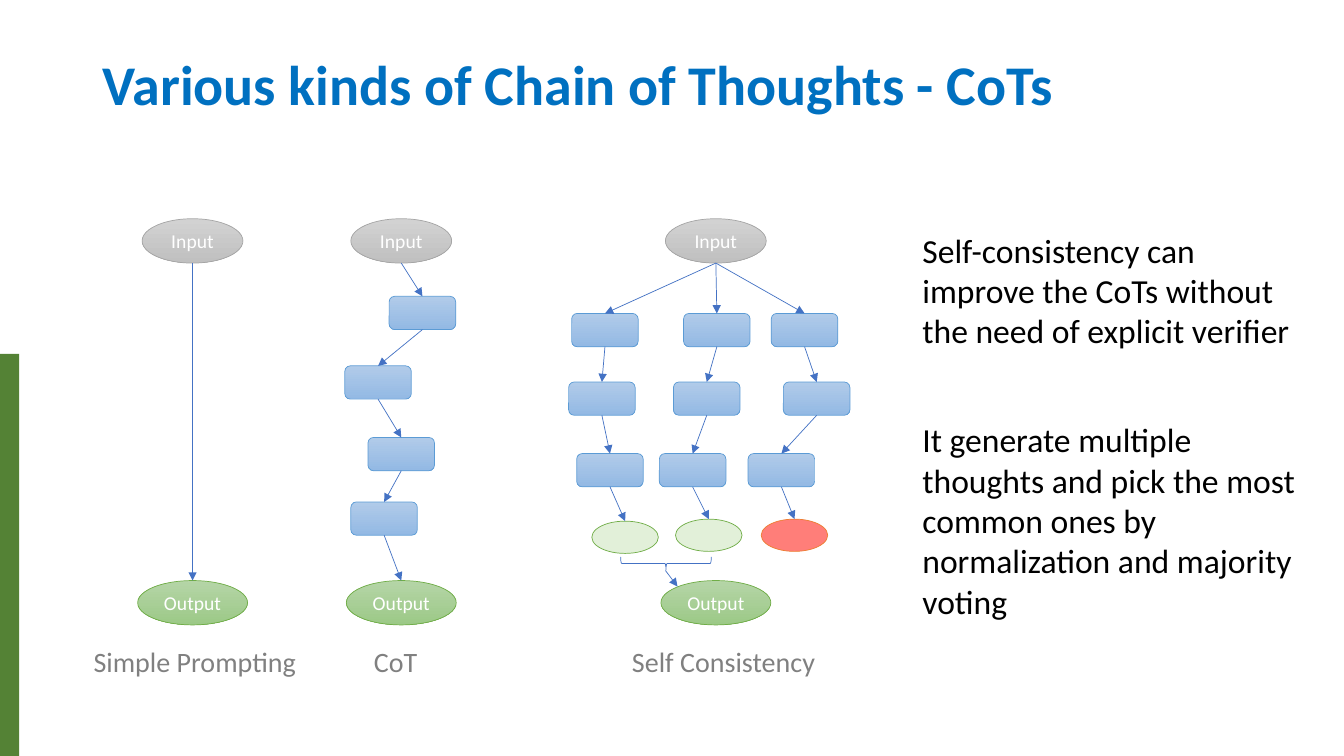
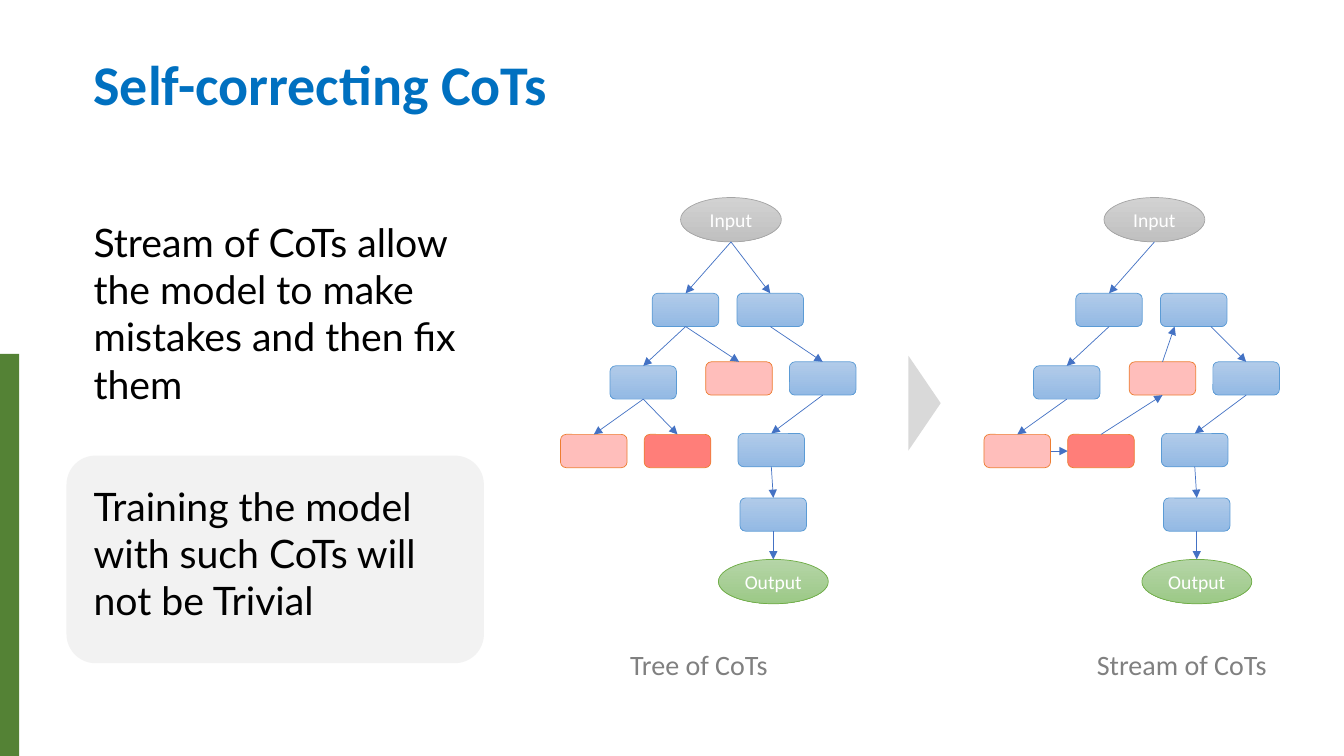
import pptx
import pptx.util
import pptx.dml.color
import pptx.enum.shapes
import pptx.enum.text
import pptx.oxml
import pptx.oxml.ns
import lxml.etree

Inches = pptx.util.Inches
Pt = pptx.util.Pt
MSO = pptx.enum.shapes.MSO_SHAPE
ALIGN = pptx.enum.text.PP_ALIGN
ANCHOR = pptx.enum.text.MSO_ANCHOR

FONT = "Calibri"
GREEN, BLUE, GRAY, BLACK, WHITE = "548235", "0070C0", "808080", "000000", "FFFFFF"
WIRE, CARD, MARK = "4472C4", "F2F2F2", "D9D9D9"
BOTTOM, TOP, LEFT, RIGHT = 2, 0, 1, 3

KINDS = {
    "input": (MSO.OVAL, 1, 0.44, ("D2D2D2", "C0C0C0"), "A5A5A5", "Input"),
    "output": (MSO.OVAL, 1.09, 0.44, ("B5D5A7", "9CC987"), "70AD47", "Output"),
    "step": (MSO.ROUNDED_RECTANGLE, 0.66, 0.33, ("B1CBE9", "93B9E4"), "5B9BD5", ""),
    "weak": (MSO.ROUNDED_RECTANGLE, 0.66, 0.33, ("FF7E79", 50), "ED7D31", ""),
    "wrong": (MSO.ROUNDED_RECTANGLE, 0.66, 0.33, "FF7E79", "ED7D31", ""),
    "vote": (MSO.OVAL, 0.66, 0.32, "E2F0D9", "70AD47", ""),
    "reject": (MSO.OVAL, 0.66, 0.32, "FF7E79", "ED7D31", ""),
}

KINDS_NODES = {
    "in1": ("input", 1.91, 2.17), "out1": ("output", 1.91, 5.76),
    "in2": ("input", 3.98, 2.17), "out2": ("output", 3.98, 5.76),
    "s1": ("step", 4.19, 2.94), "s2": ("step", 3.75, 3.63),
    "s3": ("step", 3.98, 4.34), "s4": ("step", 3.81, 4.98),
    "in3": ("input", 7.1, 2.17), "out3": ("output", 7.1, 5.76),
    "a1": ("step", 6, 3.11), "a2": ("step", 5.97, 3.79),
    "a3": ("step", 6.05, 4.5), "a4": ("vote", 6.2, 5.17),
    "b1": ("step", 7.11, 3.11), "b2": ("step", 7.01, 3.79),
    "b3": ("step", 6.87, 4.5), "b4": ("vote", 7.03, 5.15),
    "c1": ("step", 7.98, 3.11), "c2": ("step", 8.1, 3.79),
    "c3": ("step", 7.75, 4.5), "c4": ("reject", 7.88, 5.15),
}
KINDS_PATHS = ["in1 out1", "in2 s1 s2 s3 s4 out2",
               "in3 a1 a2 a3 a4", "in3 b1 b2 b3 b4", "in3 c1 c2 c3 c4"]
KINDS_LABELS = [("Simple Prompting", 0.83, 6.34, 2.23), ("CoT", 3.61, 6.34, 0.63),
                ("Self Consistency", 6.17, 6.34, 2.04)]
KINDS_TEXT = [
    "Self-consistency can improve the CoTs without the need of explicit verifier",
    "It generate multiple thoughts and pick the most common ones by "
    "normalization and majority voting",
]

TREE_NODES = {
    "in": ("input", 7.25, 1.96), "out": ("output", 7.67, 5.55),
    "l1": ("step", 6.8, 2.91), "l2": ("step", 6.38, 3.63),
    "w1": ("weak", 5.89, 4.31), "w2": ("weak", 7.33, 3.59),
    "bad": ("wrong", 6.72, 4.31),
    "r1": ("step", 7.64, 2.91), "r2": ("step", 8.16, 3.59),
    "r3": ("step", 7.65, 4.3), "r4": ("step", 7.67, 4.94),
}
TREE_PATHS = ["in l1 l2 w1", "l2 bad", "l1 w2", "in r1 r2 r3 r4 out"]
STREAM_PATHS = ["in l1 l2 w1", "r2 r3 r4 out"]
STREAM_LINKS = [
    ("w1", "bad", RIGHT, LEFT, 0, 0),
    ("bad", "w2", TOP, BOTTOM, 0, 0),
    ("w2", "r1", TOP, BOTTOM, 0, -0.19),
    ("r1", "r2", BOTTOM, TOP, 0.17, 0),
]
STREAM_SHIFT = 4.2
TREE_LABELS = [("Tree of CoTs", 6.15, 6.37, 1.58), ("Stream of CoTs", 10.78, 6.37, 1.9)]
TREE_TEXT = [
    "Stream of CoTs allow the model to make mistakes and then fix them",
    "Training the model with such CoTs will not be Trivial",
]


def rgb(hue):
    return pptx.dml.color.RGBColor.from_string(hue)


def paint(shape, fill):
    if isinstance(fill, str):
        shape.fill.solid()
        shape.fill.fore_color.rgb = rgb(fill)
    elif isinstance(fill[1], str):
        shape.fill.gradient()
        shape.fill.gradient_angle = 270
        for stop, hue in zip(shape.fill.gradient_stops, fill):
            stop.color.rgb = rgb(hue)
    else:
        paint(shape, fill[0])
        hue = shape.fill._xPr.find(".//" + pptx.oxml.ns.qn("a:srgbClr"))
        alpha = lxml.etree.SubElement(hue, pptx.oxml.ns.qn("a:alpha"))
        alpha.set("val", str(fill[1] * 1000))


def add_form(slide, form, x, y, w, h, fill=None, line=None):
    shape = slide.shapes.add_shape(form, Inches(x), Inches(y), Inches(w), Inches(h))
    shape.shadow.inherit = False
    if fill:
        paint(shape, fill)
    else:
        shape.fill.background()
    if line:
        shape.line.color.rgb = rgb(line)
        shape.line.width = Pt(0.5)
    else:
        shape.line.fill.background()
    return shape


def style(part, size, hue, font=FONT, bold=False):
    for run in part.runs:
        run.font.size = Pt(size)
        run.font.name = font
        run.font.bold = bold
        run.font.color.rgb = rgb(hue)


def add_text(slide, lines, x, y, w, h, size, hue, font=FONT, bold=False, wrap=True, gap=0):
    box = slide.shapes.add_textbox(Inches(x), Inches(y), Inches(w), Inches(h))
    frame = box.text_frame
    frame.word_wrap = wrap
    frame.text = "\n".join(lines)
    for rank, part in enumerate(frame.paragraphs):
        style(part, size, hue, font, bold)
        if rank:
            part.space_before = Pt(gap)
    return frame


def add_node(slide, kind, mid, top):
    form, w, h, fill, line, text = KINDS[kind]
    shape = add_form(slide, form, mid - w / 2, top, w, h, fill, line)
    if text:
        frame = shape.text_frame
        frame.margin_left = frame.margin_right = 0
        frame.vertical_anchor = ANCHOR.MIDDLE
        frame.text = text
        frame.paragraphs[0].alignment = ALIGN.CENTER
        style(frame.paragraphs[0], 14, WHITE)
    return shape


def add_arrow(slide, x1, y1, x2, y2):
    wire = slide.shapes.add_connector(
        pptx.enum.shapes.MSO_CONNECTOR.STRAIGHT, x1, y1, x2, y2)
    wire.line.color.rgb = rgb(WIRE)
    wire.line.width = Pt(0.5)
    tail = lxml.etree.SubElement(wire.line._get_or_add_ln(), pptx.oxml.ns.qn("a:tailEnd"))
    tail.set("type", "triangle")
    lxml.etree.SubElement(wire._element.spPr, pptx.oxml.ns.qn("a:effectLst"))
    return wire


def spot(shape, side, shift):
    x = shape.left + shape.width * {LEFT: 0, RIGHT: 1}.get(side, 0.5)
    y = shape.top + shape.height * {TOP: 0, BOTTOM: 1}.get(side, 0.5)
    return int(x + Inches(shift)), int(y)


def link(slide, start, end, out=BOTTOM, into=TOP, shift1=0, shift2=0):
    wire = add_arrow(slide, *spot(start, out, shift1), *spot(end, into, shift2))
    for shape, side, shift, join in ((start, out, shift1, wire.begin_connect),
                                     (end, into, shift2, wire.end_connect)):
        oval = shape.auto_shape_type == MSO.OVAL
        if not shift and (side == TOP or not oval):
            join(shape, side)


def add_graph(slide, nodes, paths, links=(), shift=0):
    made = {key: add_node(slide, kind, mid + shift, top)
            for key, (kind, mid, top) in nodes.items()}
    for chain in paths:
        keys = chain.split()
        for start, end in zip(keys, keys[1:]):
            link(slide, made[start], made[end])
    for start, end, *rest in links:
        link(slide, made[start], made[end], *rest)


def add_slide(deck, title, left, labels):
    slide = deck.slides.add_slide(deck.slide_layouts[6])
    add_form(slide, MSO.RECTANGLE, 0, 3.51, 0.19, 3.99, GREEN)
    frame = add_text(slide, [title], left, 0.4, 11.5, 0.94, 40, BLUE, bold=True)
    frame.vertical_anchor = ANCHOR.MIDDLE
    frame.paragraphs[0].line_spacing = 0.9
    for text, x, y, w in labels:
        add_text(slide, [text], x, y, w, 0.44, 20, GRAY, wrap=False)
    return slide


def add_kinds(deck):
    slide = add_slide(deck, "Various kinds of Chain of Thoughts - CoTs", 0.92, KINDS_LABELS)
    add_graph(slide, KINDS_NODES, KINDS_PATHS)
    brace = add_form(slide, MSO.RIGHT_BRACE, 6.54, 5.14, 0.13, 0.9, line=WIRE)
    brace.rotation = 90
    add_arrow(slide, Inches(6.6), Inches(5.66), Inches(6.72), Inches(5.82))
    add_text(slide, KINDS_TEXT, 9.05, 2.23, 3.99, 4.56, 24, BLACK, gap=49)


def add_tree(deck):
    slide = add_slide(deck, "Self-correcting CoTs", 0.83, TREE_LABELS)
    card = add_form(slide, MSO.ROUNDED_RECTANGLE, 0.66, 4.52, 4.14, 2.06, CARD)
    card.adjustments[0] = 0.14
    add_graph(slide, TREE_NODES, TREE_PATHS)
    add_graph(slide, TREE_NODES, STREAM_PATHS, STREAM_LINKS, STREAM_SHIFT)
    mark = add_form(slide, MSO.ISOSCELES_TRIANGLE, 8.7, 3.84, 0.94, 0.32, MARK)
    mark.rotation = 90
    add_text(slide, TREE_TEXT, 0.83, 2.12, 3.91, 4.63, 28, BLACK, "Lato", gap=53.6)


def main():
    deck = pptx.Presentation()
    deck.slide_width = Inches(13.33)
    deck.slide_height = Inches(7.5)
    add_kinds(deck)
    add_tree(deck)
    deck.save("out.pptx")


if __name__ == "__main__":
    main()
